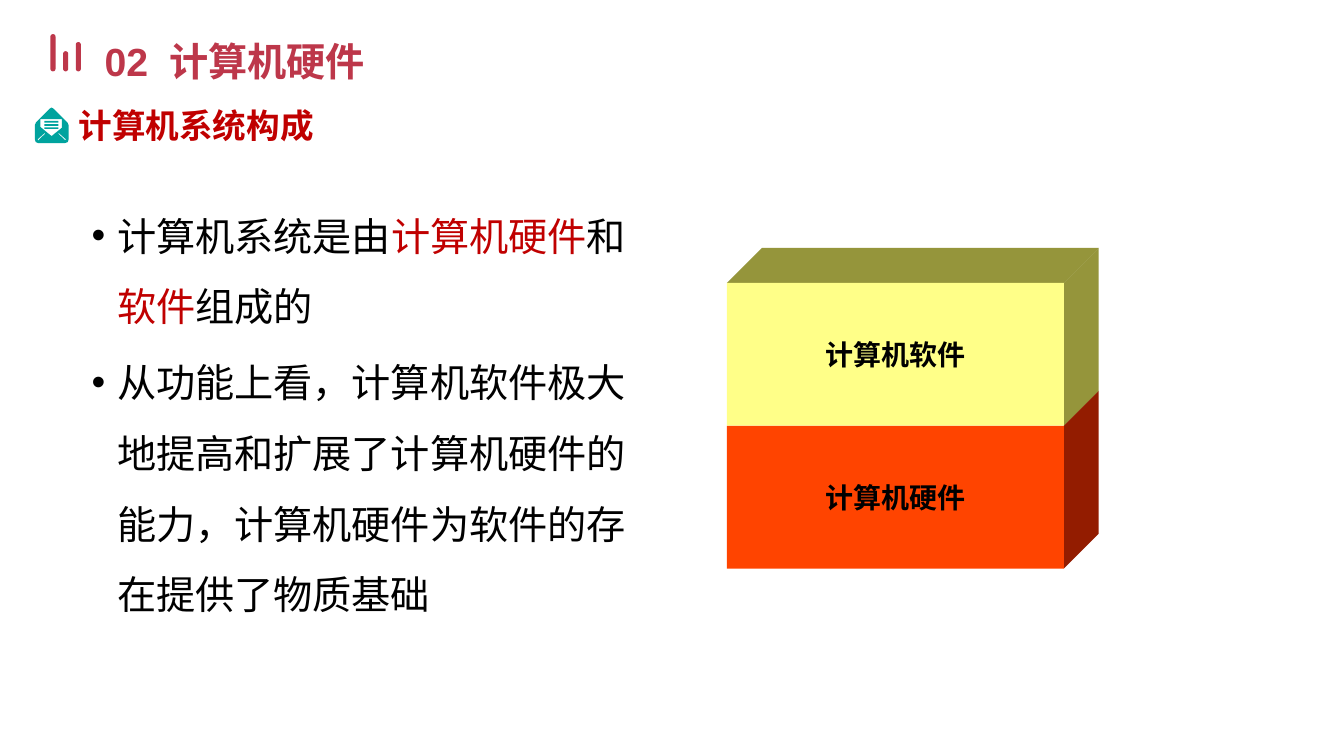
import pptx
import pptx.util
from lxml import etree
from pptx.dml.color import RGBColor
from pptx.enum.shapes import MSO_SHAPE
from pptx.enum.text import MSO_ANCHOR, PP_ALIGN
from pptx.oxml.ns import qn
from pptx.util import Cm, Pt

ROSE = RGBColor(0xBD, 0x37, 0x4A)
RED = RGBColor(0xC0, 0x00, 0x00)
BLACK = RGBColor(0x00, 0x00, 0x00)
TEAL = RGBColor(0x00, 0xA3, 0x9E)
YELLOW = RGBColor(0xFF, 0xFF, 0x88)
OLIVE = RGBColor(0x95, 0x95, 0x3B)
ORANGE = RGBColor(0xFF, 0x44, 0x00)
MAROON = RGBColor(0x93, 0x1C, 0x00)
CJK_FONT = "Noto Sans CJK SC"

TITLE = "02\t计算机硬件"
SUBTITLE = "计算机系统构成"
BULLETS = [
    [("计算机系统是由", BLACK), ("计算机硬件", RED), ("和", BLACK), ("软件", RED), ("组成的", BLACK)],
    [("从功能上看，计算机软件极大地提高和扩展了计算机硬件的能力，"
      "计算机硬件为软件的存在提供了物质基础", BLACK)],
]
LAYERS = [("计算机软件", YELLOW, OLIVE), ("计算机硬件", ORANGE, MAROON)]

# Centimetres
BARS = [(1.27, 0.94), (1.59, 0.51), (1.91, 0.74)]  # left, height
BAR_WIDTH, BAR_BOTTOM = 0.13, 1.8
BLOCK_LEFT, BLOCK_TOP, BLOCK_WIDTH, LAYER_HEIGHT, DEPTH = 18.32, 7.13, 8.49, 3.6, 0.88

ENVELOPE_BODY = [(0.91, 3.08), (1.25, 2.74), (1.3, 2.71), (1.35, 2.74), (1.7, 3.09),
                 (1.73, 3.15), (1.73, 3.51), (1.71, 3.58), (1.63, 3.61), (0.97, 3.61),
                 (0.9, 3.58), (0.88, 3.51), (0.88, 3.15)]
LETTER = [(1.02, 3), (1.02, 3.2), (1.3, 3.43), (1.56, 3.22), (1.56, 3)]
LETTER_LINES = [[(1.12, top), (1.47, top), (1.47, top + 0.04), (1.12, top + 0.04)]
                for top in (3.05, 3.13, 3.21)]
LEFT_CREASE = [(0.96, 3.54), (1.14, 3.37), (1.13, 3.35), (0.95, 3.51)]
RIGHT_CREASE = [(2.61 - x, y) for x, y in LEFT_CREASE]

presentation = pptx.Presentation()
presentation.slide_width, presentation.slide_height = Cm(33.87), Cm(19.05)
slide = presentation.slides.add_slide(presentation.slide_layouts[6])


def paint(shape, color):
    shape.shadow.inherit = False
    shape.fill.solid()
    shape.fill.fore_color.rgb = color
    shape.line.fill.background()


def add_outline(contours, color):
    """Draw closed contours as one shape; inner contours become holes."""
    points = [[(Cm(x), Cm(y)) for x, y in contour] for contour in contours]
    builder = slide.shapes.build_freeform(*points[0][0])
    builder.add_line_segments(points[0][1:], close=True)
    for contour in points[1:]:
        builder.move_to(*contour[0])
        builder.add_line_segments(contour[1:], close=True)
    paint(builder.convert_to_shape(), color)


def add_run(paragraph, text, color, size, bold=False, name=CJK_FONT):
    run = paragraph.add_run()
    run.text = text
    for attribute, value in {"size": Pt(size), "bold": bold, "name": name}.items():
        setattr(run.font, attribute, value)
    run.font.color.rgb = color
    latin = run.font._element.find(qn("a:latin"))
    east_asian = etree.Element(qn("a:ea"), typeface=CJK_FONT)
    latin.addnext(east_asian)


def add_text_box(left, top, width, height, wrap=True):
    box = slide.shapes.add_textbox(Cm(left), Cm(top), Cm(width), Cm(height))
    box.text_frame.word_wrap = wrap
    return box.text_frame


for left, height in BARS:
    bar = slide.shapes.add_shape(MSO_SHAPE.ROUNDED_RECTANGLE, Cm(left), Cm(BAR_BOTTOM - height),
                                 Cm(BAR_WIDTH), Cm(height))
    bar.adjustments[0] = 0.5
    paint(bar, ROSE)

title = add_text_box(2.39, 0.51, 11.53, 1.6).paragraphs[0]
tabs = etree.SubElement(title._p.get_or_add_pPr(), qn("a:tabLst"))
etree.SubElement(tabs, qn("a:tab"), pos=str(Cm(1.62)), algn="l")
title.line_spacing = 1.25
add_run(title, TITLE, ROSE, 28, True, "Arial")

add_outline([ENVELOPE_BODY, LETTER, *LETTER_LINES, LEFT_CREASE, RIGHT_CREASE], TEAL)
subtitle = add_text_box(1.73, 2.51, 6.53, 1.27, wrap=False).paragraphs[0]
add_run(subtitle, SUBTITLE, RED, 24, True)

right = BLOCK_LEFT + BLOCK_WIDTH
add_outline([[(BLOCK_LEFT, BLOCK_TOP), (BLOCK_LEFT + DEPTH, BLOCK_TOP - DEPTH),
              (right + DEPTH, BLOCK_TOP - DEPTH), (right, BLOCK_TOP)]], OLIVE)
for index, (label, front, side) in enumerate(LAYERS):
    top = BLOCK_TOP + index * LAYER_HEIGHT
    bottom = top + LAYER_HEIGHT
    add_outline([[(right, top), (right + DEPTH, top - DEPTH),
                  (right + DEPTH, bottom - DEPTH), (right, bottom)]], side)
    face = slide.shapes.add_shape(MSO_SHAPE.RECTANGLE, Cm(BLOCK_LEFT), Cm(top),
                                  Cm(BLOCK_WIDTH), Cm(LAYER_HEIGHT))
    paint(face, front)
    face.text_frame.vertical_anchor = MSO_ANCHOR.MIDDLE
    paragraph = face.text_frame.paragraphs[0]
    paragraph.alignment = PP_ALIGN.CENTER
    add_run(paragraph, label, BLACK, 20, True)

body = add_text_box(2.06, 4.62, 14.5, 12.19)
for index, runs in enumerate(BULLETS):
    paragraph = body.add_paragraph() if index else body.paragraphs[0]
    properties = paragraph._p.get_or_add_pPr()
    for name, value in {"marL": Cm(0.64), "indent": -Cm(0.64)}.items():
        properties.set(name, str(value))
    etree.SubElement(properties, qn("a:buFont"), typeface="Arial")
    etree.SubElement(properties, qn("a:buChar"), char="•")
    paragraph.line_spacing = 1.5
    if index:
        paragraph.space_before = Pt(4)
    for text, color in runs:
        add_run(paragraph, text, color, 28)

presentation.save("out.pptx")
